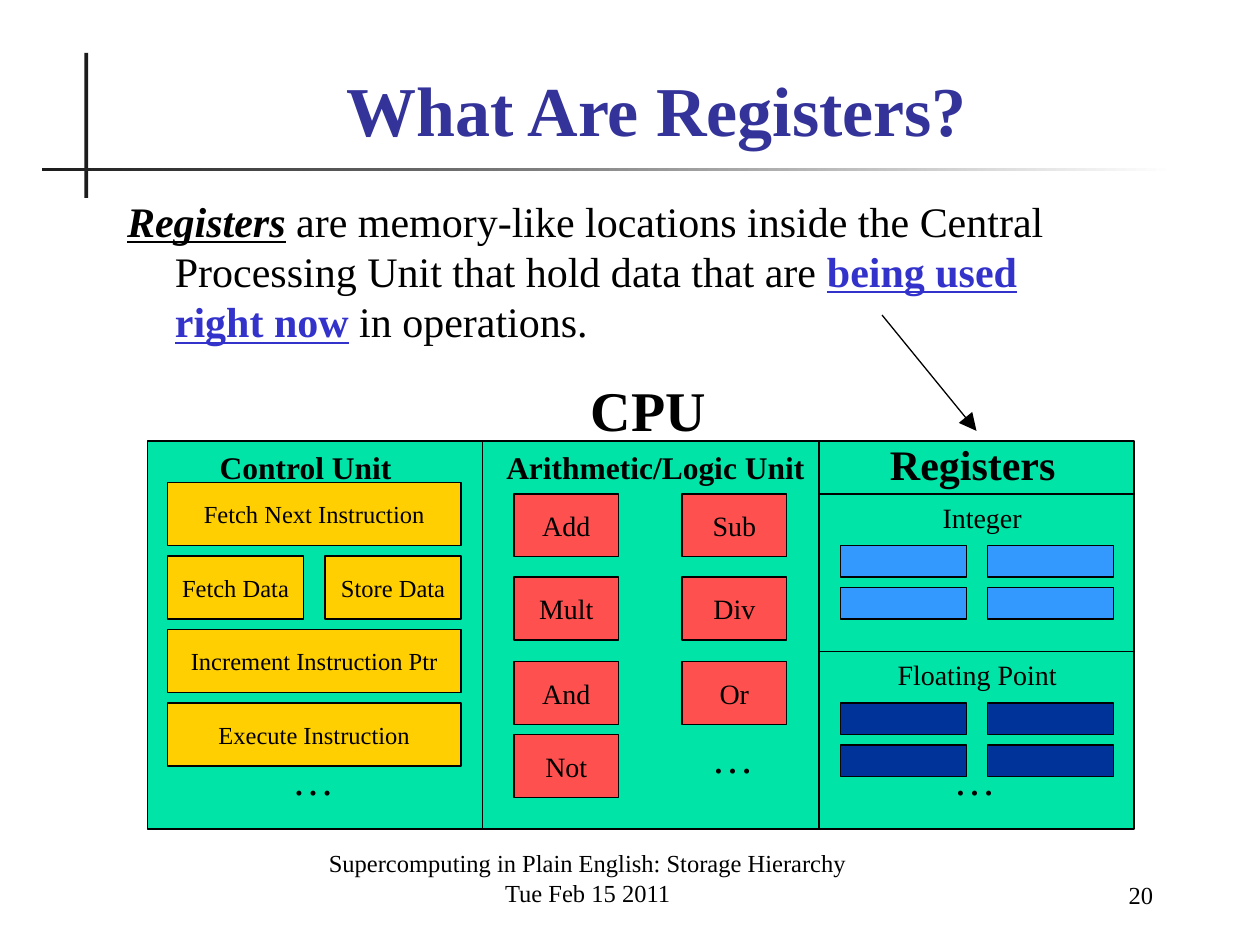
from pptx import Presentation
from pptx.util import Inches, Pt
from pptx.dml.color import RGBColor
from pptx.enum.shapes import MSO_CONNECTOR, MSO_SHAPE
from pptx.enum.text import MSO_ANCHOR, PP_ALIGN
from pptx.oxml.ns import qn
from lxml.etree import SubElement

FONT = "Times New Roman"
COLORS = {
    "black": "000000", "white": "FFFFFF", "rule": "1C1C1C",
    "title": "333399", "emphasis": "3333CC", "cpu": "00E4A8",
    "control": "FFCF01", "alu": "FF5050",
    "integer": "3399FF", "float": "003399",
}


def rgb(name):
    return RGBColor.from_string(COLORS[name])


def style(p, size, bold=False, color="black", align=PP_ALIGN.CENTER):
    p.alignment = align
    p.font.name, p.font.size, p.font.bold = FONT, Pt(size), bold
    p.font.color.rgb = rgb(color)


def add_text(s, x, y, w, h, lines, size, bold=False, color="black",
             align=PP_ALIGN.CENTER, anchor=MSO_ANCHOR.TOP, wrap=False):
    tf = s.shapes.add_textbox(Inches(x), Inches(y), Inches(w), Inches(h)).text_frame
    tf.word_wrap, tf.vertical_anchor = wrap, anchor
    for i, line in enumerate(lines.split("\n")):
        p = tf.add_paragraph() if i else tf.paragraphs[0]
        p.text = line
        style(p, size, bold, color, align)
    return tf


def add_box(s, x, y, w, h, fill, text="", size=14):
    sp = s.shapes.add_shape(MSO_SHAPE.RECTANGLE, Inches(x), Inches(y), Inches(w), Inches(h))
    sp.shadow.inherit = False
    sp.fill.solid()
    sp.fill.fore_color.rgb = rgb(fill)
    sp.line.color.rgb = rgb("black")
    sp.line.width = Pt(0.75)
    if text:
        tf = sp.text_frame
        tf.word_wrap, tf.vertical_anchor = False, MSO_ANCHOR.MIDDLE
        tf.text = text
        style(tf.paragraphs[0], size)
    return sp


def add_line(s, x1, y1, x2, y2, arrow=False):
    line = s.shapes.add_connector(MSO_CONNECTOR.STRAIGHT, Inches(x1), Inches(y1),
                                  Inches(x2), Inches(y2))
    line.line.color.rgb = rgb("black")
    line.line.width = Pt(0.75)
    spPr = line._element.spPr
    if arrow:
        SubElement(spPr.find(qn("a:ln")), qn("a:tailEnd"), type="triangle",
                   w="lg", len="lg")
    SubElement(spPr, qn("a:effectLst"))


def add_heading(s, x, y):
    # Crossing rules, the horizontal one fading to white
    upright = add_box(s, x + 0.34, y, 0.03, 1.15, "rule")
    fading = add_box(s, x, y + 0.91, 9, 0.03, "rule")
    for rule in (upright, fading):
        rule.line.fill.background()
    fading.fill.gradient()
    fading.fill.gradient_angle = 0
    for stop, name in zip(fading.fill.gradient_stops, ("rule", "white")):
        stop.color.rgb = rgb(name)
    add_text(s, x + 0.5, y + 0.08, 8.77, 0.74, "What Are Registers?", 40, True,
             "title", anchor=MSO_ANCHOR.BOTTOM, wrap=True)


def add_definition(s, x, y, w, h):
    tf = add_text(s, x, y, w, h, "", 24, align=PP_ALIGN.LEFT, wrap=True)
    p = tf.paragraphs[0]
    pPr = p._p.get_or_add_pPr()
    pPr.set("marL", str(Inches(0.38)))
    pPr.set("indent", str(Inches(-0.38)))
    term, _, stress, _ = runs = [p.add_run() for _ in range(4)]
    texts = ("Registers",
             " are memory-like locations inside the Central Processing Unit"
             " that hold data that are ",
             "being used right now", " in operations.")
    for r, text in zip(runs, texts):
        r.text = text
    for r in (term, stress):
        r.font.bold = r.font.underline = True
    term.font.italic = True
    stress.font.color.rgb = rgb("emphasis")


def add_control_unit(s, x, y):
    add_text(s, x + 0.47, y + 0.01, 1.57, 0.4, "Control Unit", 18, True)
    rows = (("Fetch Next Instruction",), ("Fetch Data", "Store Data"),
            ("Increment Instruction Ptr",), ("Execute Instruction",))
    width, gap = 2.33, 0.17
    for i, row in enumerate(rows):
        w = (width - gap * (len(row) - 1)) / len(row)
        for j, text in enumerate(row):
            add_box(s, x + 0.16 + j * (w + gap), y + 0.33 + i * 7 / 12, w, 0.5,
                    "control", text)
    add_text(s, x + 1.05, y + 2.43, 0.53, 0.5, "…", 24)


def add_alu(s, x, y):
    add_text(s, x + 0.09, y + 0.01, 2.57, 0.4, "Arithmetic/Logic Unit", 18, True,
             align=PP_ALIGN.LEFT)
    rows = ((0.42, "Add", "Sub"), (1.08, "Mult", "Div"),
            (1.75, "And", "Or"), (2.33, "Not"))
    for top, *names in rows:
        for j, name in enumerate(names):
            add_box(s, x + 0.25 + j * 4 / 3, y + top, 0.83, 0.5, "alu", name, 16)
    add_text(s, x + 1.72, y + 2.26, 0.53, 0.5, "…", 24)


def add_registers(s, x, y, w):
    add_text(s, x + 0.41, y - 0.07, 1.62, 0.5, "Registers", 24, True)
    # Each bank: divider, label and a two by two grid of registers
    banks = ((0.42, "Integer", "integer", 1.3), (1.67, "Floating Point", "float", 1.26))
    for top, label, fill, centre in banks:
        add_line(s, x, y + top, x + w, y + top)
        add_text(s, x + centre - 0.74, y + top, 1.47, 0.37, label, 16)
        for i in range(2):
            for j in range(2):
                add_box(s, x + 0.17 + j * 7 / 6, y + top + 0.41 + i / 3, 1, 0.25, fill)
    add_text(s, x + 0.97, y + 2.43, 0.53, 0.5, "…", 24)


def add_cpu(s, x, y, w, h):
    add_box(s, x, y, w, h, "cpu")
    alu_x, registers_x = x + 2.66, x + 5.33
    for divider in (alu_x, registers_x):
        add_line(s, divider, y, divider, y + h)
    add_control_unit(s, x, y)
    add_alu(s, alu_x, y)
    add_registers(s, registers_x, y, x + w - registers_x)
    add_text(s, x + 3.32, y - 0.57, 1.31, 0.63, "CPU", 32, True)
    # Arrow from the definition to the registers
    add_line(s, x + 5.83, y - 1, x + 6.58, y - 0.08, arrow=True)


def add_footer(s, x, y):
    add_text(s, x, y, 5.83, 0.5,
             "Supercomputing in Plain English: Storage Hierarchy\nTue Feb 15 2011",
             14, anchor=MSO_ANCHOR.BOTTOM, wrap=True)
    add_text(s, x + 6.08, y + 0.02, 1.42, 0.5, "20", 14, align=PP_ALIGN.RIGHT,
             anchor=MSO_ANCHOR.BOTTOM, wrap=True)


def main():
    prs = Presentation()
    prs.slide_width, prs.slide_height = Inches(10), Inches(7.5)
    s = prs.slides.add_slide(prs.slide_layouts[6])
    add_heading(s, 0.33, 0.42)
    add_definition(s, 0.91, 1.5, 8.02, 2)
    add_cpu(s, 1.17, 3.5, 7.83, 3.08)
    add_footer(s, 1.75, 6.75)
    prs.save("out.pptx")


if __name__ == "__main__":
    main()
